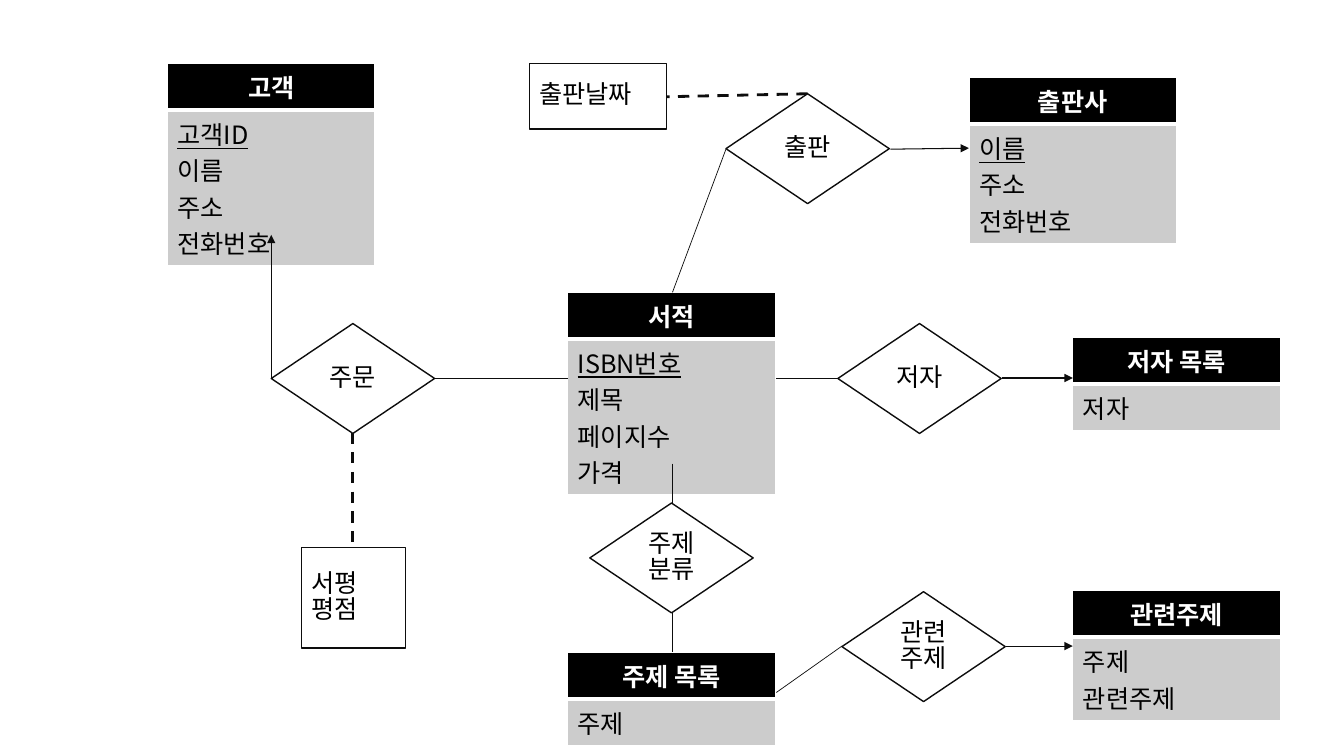
import pptx
import pptx.util
import pptx.dml.color
import pptx.enum.dml
import pptx.enum.shapes
import pptx.enum.text
import pptx.oxml
import pptx.oxml.ns
import lxml.etree

Inches = pptx.util.Inches
Pt = pptx.util.Pt
RGBColor = pptx.dml.color.RGBColor
ALIGN = pptx.enum.text.PP_ALIGN
SHAPE = pptx.enum.shapes.MSO_SHAPE

FONT = "Noto Sans CJK KR"
COLORS = {"black": "000000", "white": "FFFFFF", "body": "CCCCCC", "line": "0D0D0D"}


def add_element(parent, tag, **attributes):
    element = lxml.etree.SubElement(parent, pptx.oxml.ns.qn(tag))
    for name, value in attributes.items():
        element.set(name, value)
    return element


def write_lines(frame, lines, color, align, bold=False, key=None, spacing=None):
    for index, line in enumerate(lines):
        para = frame.paragraphs[0] if index == 0 else frame.add_paragraph()
        para.alignment = align
        if spacing:
            para.line_spacing = spacing
        span = para.add_run()
        span.text = line
        span.font.size = Pt(18)
        span.font.name = FONT
        span.font.bold = bold
        span.font.underline = line == key
        span.font.color.rgb = RGBColor.from_string(COLORS[color])
        add_element(span.font._element, "a:ea", typeface=FONT)


deck = pptx.Presentation()
deck.slide_width = Inches(13.33)
deck.slide_height = Inches(7.5)
page = deck.slides.add_slide(deck.slide_layouts[6])

entities = [
    ("서적", 5.63, 2.9, ["ISBN번호", "제목", "페이지수", "가격"], "ISBN번호"),
    ("출판사", 9.61, 0.77, ["이름", "주소", "전화번호"], "이름"),
    ("고객", 1.66, 0.63, ["고객ID", "이름", "주소", "전화번호"], "고객ID"),
    ("관련주제", 10.64, 5.86, ["주제", "관련주제"], None),
    ("저자 목록", 10.64, 3.35, ["저자"], None),
    ("주제 목록", 5.63, 6.47, ["주제"], None),
]
for title, left, top, fields, key in entities:
    heights = [0.46, 0.1 + 0.36 * len(fields)]
    table = page.shapes.add_table(
        2, 1, Inches(left), Inches(top), Inches(2.06), Inches(sum(heights))
    ).table
    for row, height in zip(table.rows, heights):
        row.height = Inches(height)
    header, body = table.cell(0, 0), table.cell(1, 0)
    write_lines(header.text_frame, [title], "white", ALIGN.CENTER, bold=True)
    write_lines(body.text_frame, fields, "black", ALIGN.LEFT, key=key)
    for cell, fill, thick_side in [(header, "black", "a:lnB"), (body, "body", "a:lnT")]:
        properties = cell._tc.get_or_add_tcPr()
        for side in ["a:lnL", "a:lnR", "a:lnT", "a:lnB"]:
            width = Pt(3) if side == thick_side else Pt(1)
            border = add_element(properties, side, w=str(width))
            border_fill = add_element(border, "a:solidFill")
            add_element(border_fill, "a:srgbClr", val=COLORS["white"])
        cell.fill.solid()
        cell.fill.fore_color.rgb = RGBColor.from_string(COLORS[fill])

links = [
    (6.67, 4.6, 6.67, 4.99, 0.5, False),
    (9.98, 6.41, 10.64, 6.41, 0.5, True),
    (8.83, 1.48, 9.61, 1.47, 0.75, True),
    (6.67, 2.9, 7.2, 1.48, 0.5, False),
    (2.69, 3.75, 2.69, 2.33, 0.5, True),
    (5.63, 3.75, 4.31, 3.75, 0.5, False),
    (3.5, 4.29, 3.5, 5.43, 2, False),
    (8.01, 0.93, 6.6, 0.96, 2, False),
    (9.94, 3.75, 10.64, 3.75, 0.75, True),
    (7.7, 3.75, 8.31, 3.75, 0.5, False),
    (6.67, 6.08, 6.67, 6.47, 0.5, False),
    (8.35, 6.41, 7.7, 6.87, 0.5, False),
]
for x1, y1, x2, y2, width, arrow in links:
    link = page.shapes.add_connector(
        pptx.enum.shapes.MSO_CONNECTOR.STRAIGHT,
        Inches(x1), Inches(y1), Inches(x2), Inches(y2),
    )
    link.line.color.rgb = RGBColor.from_string(COLORS["line"])
    link.line.width = Pt(width)
    if width == 2:
        link.line.dash_style = pptx.enum.dml.MSO_LINE.DASH
    if arrow:
        add_element(link.line._get_or_add_ln(), "a:tailEnd", type="triangle")
    add_element(link._element.spPr, "a:effectLst")

diamond = (SHAPE.FLOWCHART_DECISION, 1.62, 1.09, ALIGN.CENTER)
nodes = [
    (["출판"], 7.2, 0.93, *diamond),
    (["주제분류"], 5.85, 4.99, *diamond),
    (["주문"], 2.69, 3.21, *diamond),
    (["저자"], 8.31, 3.21, *diamond),
    (["관련주제"], 8.35, 5.87, *diamond),
    (["서평", "평점"], 2.99, 5.43, SHAPE.RECTANGLE, 1.03, 1, ALIGN.LEFT),
    (["출판날짜"], 5.25, 0.63, SHAPE.RECTANGLE, 1.36, 0.65, ALIGN.LEFT),
]
for lines, left, top, kind, width, height, align in nodes:
    box = page.shapes.add_shape(kind, Inches(left), Inches(top), Inches(width), Inches(height))
    box.shadow.inherit = False
    box.fill.solid()
    box.fill.fore_color.rgb = RGBColor.from_string(COLORS["white"])
    box.line.color.rgb = RGBColor.from_string(COLORS["line"])
    box.line.width = Pt(1)
    box.text_frame.word_wrap = True
    box.text_frame.vertical_anchor = pptx.enum.text.MSO_ANCHOR.MIDDLE
    write_lines(box.text_frame, lines, "black", align, spacing=0.85)

deck.save("out.pptx")
